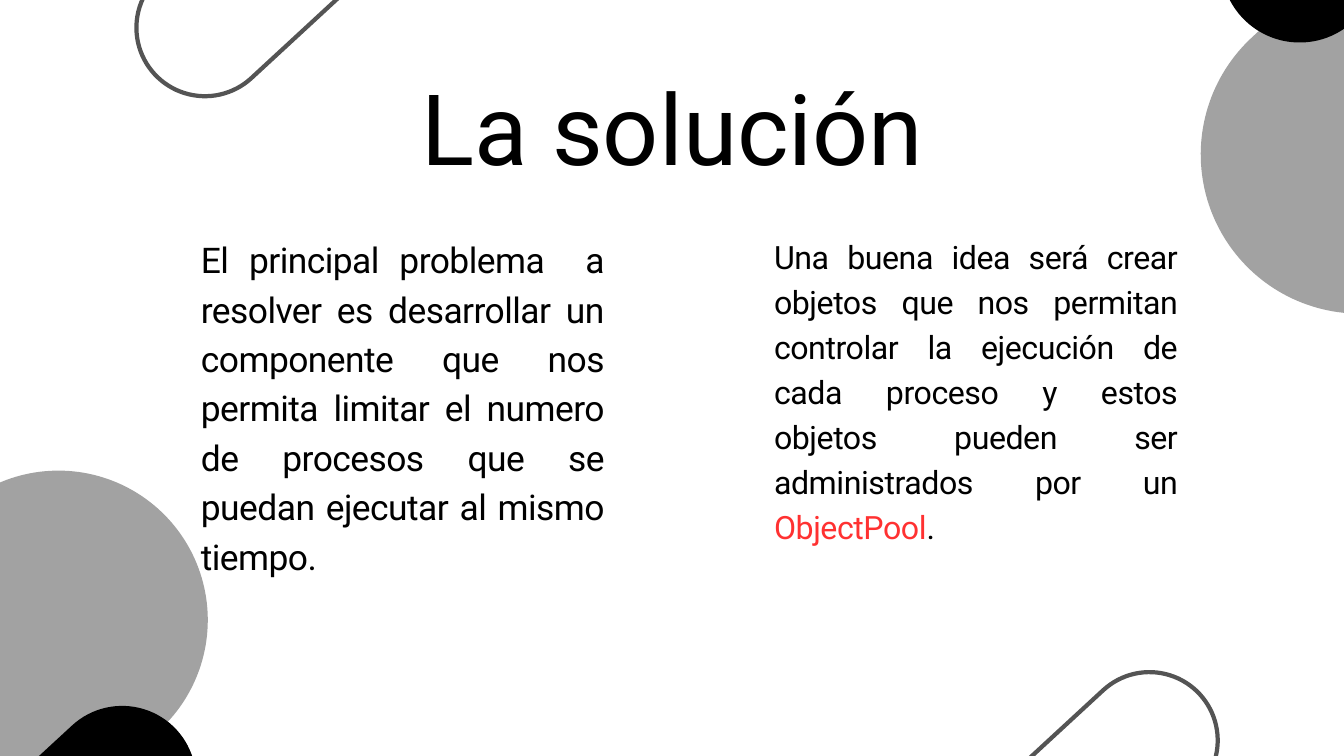
from pptx import Presentation
from pptx.dml.color import RGBColor as RGB
from pptx.enum.shapes import MSO_SHAPE as Shape
from pptx.enum.text import PP_ALIGN as Align
from pptx.util import Pt

COLORS = {"black": "000000", "gray": "A2A2A2", "dark": "545454", "red": "FF3131"}
FONT = "Roboto"
TILT = 317.3

# center x, center y, height, fill, line
PILLS = [
    (-55.1, 772.9, 320.2, "gray", None),
    (72.7, 889.2, 158.4, "black", None),
    (1582.6, 49.7, 341.3, "gray", None),
    (1454.4, -95.8, 168.5, "black", None),
    (1177.9, 842.8, 146.2, None, "dark"),
    (273.6, -20.2, 146.9, None, "dark"),
]

TITLE = [("La solución", "black")]
PROBLEM = [(
    "El principal problema  a resolver es desarrollar un componente que nos "
    "permita limitar el numero de procesos que se puedan ejecutar al mismo tiempo.",
    "black",
)]
IDEA = [
    ("Una buena idea será crear objetos que nos permitan controlar la ejecución "
     "de cada proceso y estos objetos pueden ser administrados por un ", "black"),
    ("ObjectPool", "red"),
    (".", "black"),
]

# runs, box, size, line pitch, letter spacing, alignment
TEXTS = [
    (TITLE, (305.3, 108.7, 830.2, 98.6), 105.5, 89.7, 0, Align.CENTER),
    (PROBLEM, (215.3, 247.7, 432, 365), 37.9, 53, -0.6, Align.JUSTIFY),
    (IDEA, (829.4, 247.7, 432, 334.1), 34.4, 48.1, -0.5, Align.JUSTIFY),
]


def color(name):
    return RGB.from_string(COLORS[name])


def add_pill(slide, x, y, high, fill, line):
    wide = 2 * high
    box = (x - wide / 2, y - high / 2, wide, high)
    pill = slide.shapes.add_shape(Shape.ROUNDED_RECTANGLE, *map(Pt, box))
    pill.adjustments[0] = 0.5
    pill.rotation = TILT
    pill.shadow.inherit = False
    if fill:
        pill.fill.solid()
        pill.fill.fore_color.rgb = color(fill)
    else:
        pill.fill.background()
    if line:
        pill.line.color.rgb = color(line)
        pill.line.width = Pt(4.5)
    else:
        pill.line.fill.background()


def add_text(slide, runs, box, size, pitch, gap, align):
    frame = slide.shapes.add_textbox(*map(Pt, box)).text_frame
    frame.word_wrap = True
    frame.margin_left = frame.margin_right = 0
    frame.margin_top = frame.margin_bottom = 0
    para = frame.paragraphs[0]
    para.alignment = align
    para.line_spacing = Pt(pitch)
    para.font.name = FONT
    para.font.size = Pt(size)
    for words, tone in runs:
        run = para.add_run()
        run.text = words
        run.font.color.rgb = color(tone)
        if gap:
            run._r.get_or_add_rPr().set("spc", str(round(gap * 100)))


def main():
    deck = Presentation()
    deck.slide_width, deck.slide_height = Pt(1440), Pt(810)
    slide = deck.slides.add_slide(deck.slide_layouts[6])
    for pill in PILLS:
        add_pill(slide, *pill)
    for text in TEXTS:
        add_text(slide, *text)
    deck.save("out.pptx")


if __name__ == "__main__":
    main()
